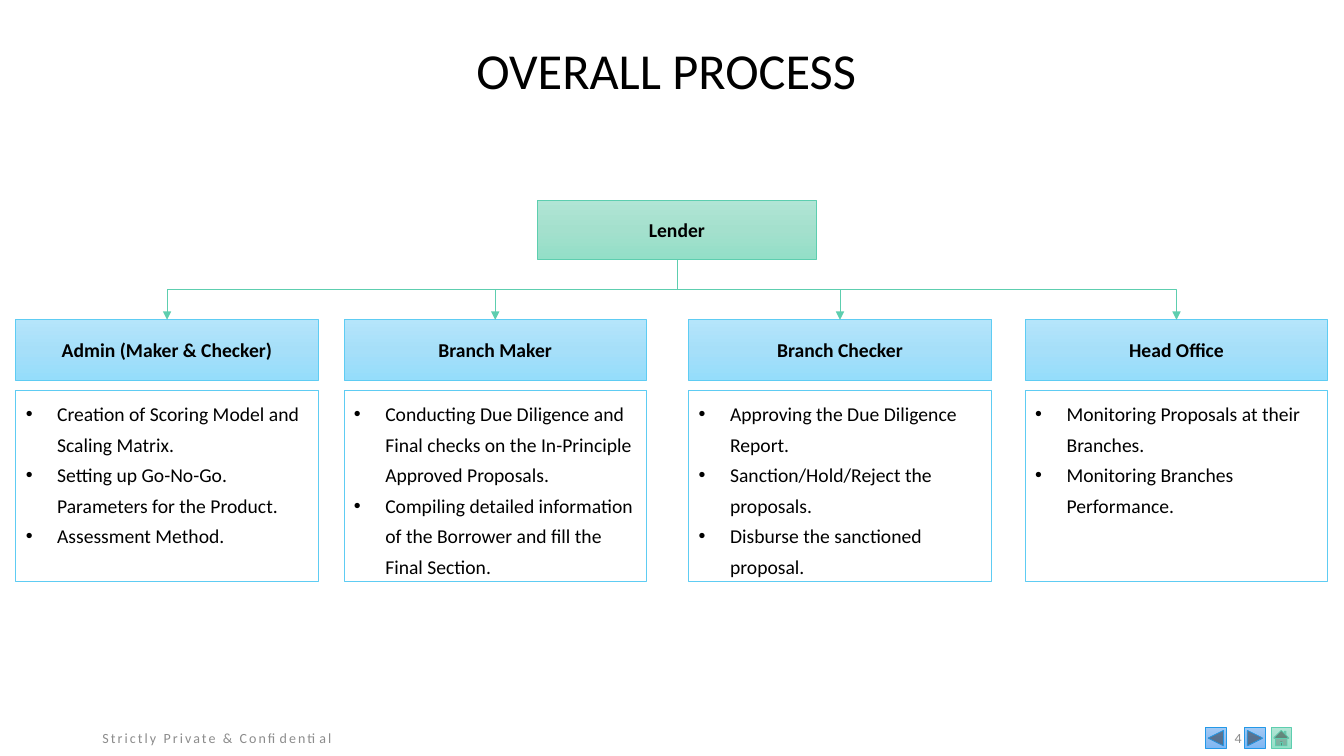
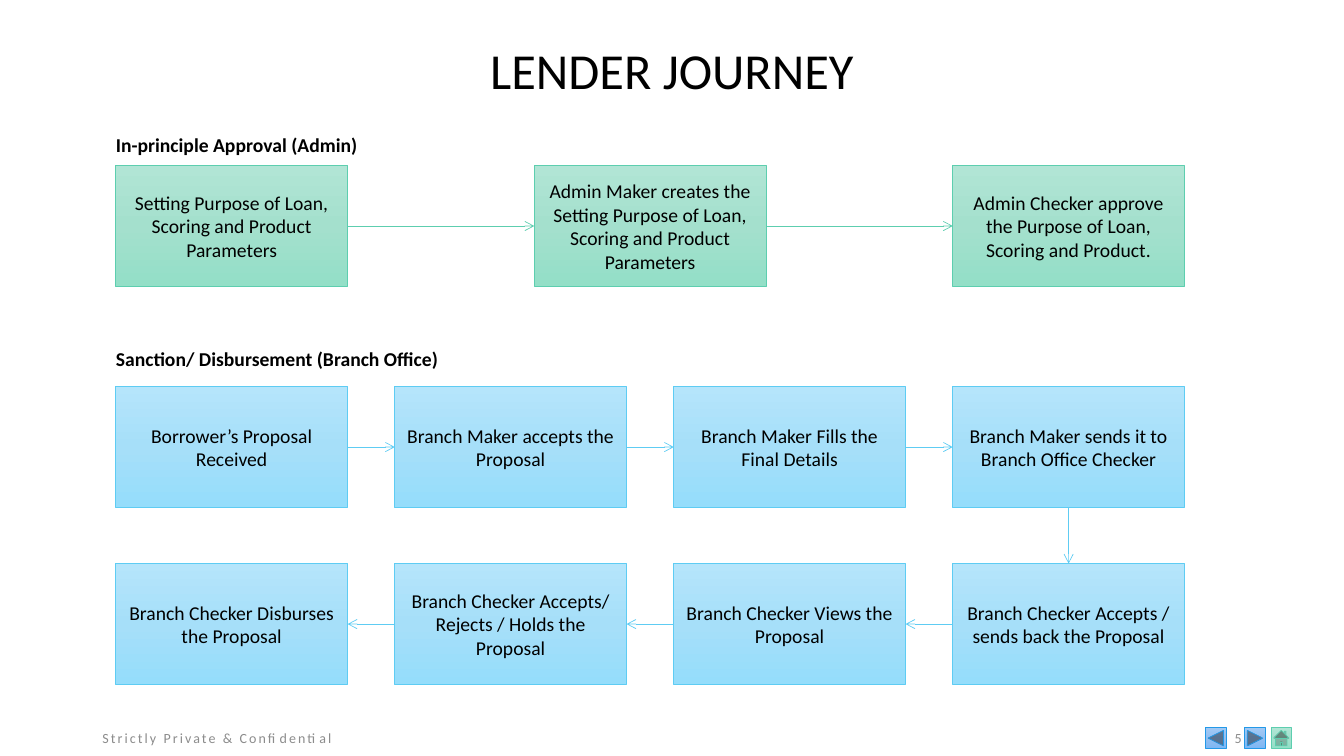
import copy
import itertools
from dataclasses import dataclass
from typing import Any, Sequence

import lxml.etree
import pptx
import pptx.dml.color
import pptx.enum.shapes
import pptx.enum.text
import pptx.oxml.ns
import pptx.util

Cm = pptx.util.Cm
Pt = pptx.util.Pt
RGBColor = pptx.dml.color.RGBColor
qn = pptx.oxml.ns.qn
Align = pptx.enum.text.PP_ALIGN
Anchor = pptx.enum.text.MSO_ANCHOR
Preset = pptx.enum.shapes.MSO_SHAPE
Connector = pptx.enum.shapes.MSO_CONNECTOR

FONT = "Calibri"
BLACK = RGBColor(0x00, 0x00, 0x00)
WHITE = RGBColor(0xFF, 0xFF, 0xFF)
GREY = RGBColor(0x8C, 0x8C, 0x8C)
LINE_WIDTH = Pt(0.5)
TOP, RIGHT, BOTTOM, LEFT = 0, 3, 2, 1


@dataclass(frozen=True)
class Palette:
    line: RGBColor
    stops: tuple[RGBColor, RGBColor, RGBColor]


GREEN = Palette(
    RGBColor(0x5D, 0xCE, 0xAF),
    (RGBColor(0xB1, 0xE5, 0xD5), RGBColor(0xA4, 0xE0, 0xCD), RGBColor(0x93, 0xDF, 0xC7)),
)
SKY = Palette(
    RGBColor(0x5E, 0xCC, 0xF3),
    (RGBColor(0xB5, 0xE5, 0xFB), RGBColor(0xA6, 0xDF, 0xF9), RGBColor(0x95, 0xDD, 0xFB)),
)
BLUE = Palette(
    RGBColor(0x23, 0x99, 0xE8),
    (RGBColor(0xA1, 0xC9, 0xF4), RGBColor(0x93, 0xBF, 0xF1), RGBColor(0x7F, 0xB7, 0xF4)),
)


@dataclass(frozen=True)
class Box:
    """Position and size in centimetres."""

    left: float
    top: float
    width: float
    height: float

    def lengths(self) -> tuple[int, ...]:
        return tuple(Cm(value) for value in (self.left, self.top, self.width, self.height))


@dataclass(frozen=True)
class TextStyle:
    size: float = 14
    bold: bool = False
    color: RGBColor = BLACK
    align: Any = Align.LEFT
    anchor: Any = Anchor.MIDDLE
    line_spacing: float = 1.0
    letter_spacing: float = 0
    side_inset: float = 0.25
    bullet_indent: float = 0


TITLE = TextStyle(size=36, align=Align.CENTER, line_spacing=0.9)
STEP = TextStyle(align=Align.CENTER)
ROLE = TextStyle(align=Align.CENTER, bold=True)
DUTIES = TextStyle(anchor=Anchor.TOP, line_spacing=1.3, bullet_indent=0.79)
SECTION = TextStyle(bold=True, anchor=Anchor.TOP, side_inset=0)
FOOTER = TextStyle(size=10, color=GREY, letter_spacing=1.5)
PAGE_NUMBER = TextStyle(size=10, color=GREY, letter_spacing=1.5, align=Align.RIGHT)


@dataclass(frozen=True)
class Role:
    left: float
    name: str
    duties: tuple[str, ...]


@dataclass(frozen=True)
class NavigationButton:
    left: float
    preset: Any
    palette: Palette


ROLES = (
    Role(0.4, "Admin (Maker & Checker)", (
        "Creation of Scoring Model and Scaling Matrix.",
        "Setting up Go-No-Go. Parameters for the Product.",
        "Assessment Method.",
    )),
    Role(8.67, "Branch Maker", (
        "Conducting Due Diligence and Final checks on the In-Principle Approved Proposals.",
        "Compiling detailed information of the Borrower and fill the Final Section.",
    )),
    Role(17.36, "Branch Checker", (
        "Approving the Due Diligence Report.",
        "Sanction/Hold/Reject the proposals.",
        "Disburse the sanctioned proposal.",
    )),
    Role(25.84, "Head Office", (
        "Monitoring Proposals at their Branches.",
        "Monitoring Branches Performance.",
    )),
)
APPROVAL_STEPS = (
    ("Setting Purpose of Loan,", "Scoring and Product Parameters"),
    ("Admin Maker creates the Setting Purpose of Loan,", "Scoring and Product Parameters"),
    ("Admin Checker approve the Purpose of Loan, Scoring and Product.",),
)
MAKER_STEPS = (
    ("Borrower’s Proposal Received",),
    ("Branch Maker accepts the Proposal",),
    ("Branch Maker Fills the Final Details",),
    ("Branch Maker sends it to Branch Office Checker",),
)
CHECKER_STEPS = (
    ("Branch Checker Accepts / sends back the Proposal",),
    ("Branch Checker Views the Proposal",),
    ("Branch Checker Accepts/ Rejects / Holds the Proposal",),
    ("Branch Checker Disburses the Proposal",),
)
BUTTONS = (
    NavigationButton(30.38, Preset.ACTION_BUTTON_BACK_OR_PREVIOUS, BLUE),
    NavigationButton(31.37, Preset.ACTION_BUTTON_FORWARD_OR_NEXT, BLUE),
    NavigationButton(32.03, Preset.ACTION_BUTTON_HOME, GREEN),
)
STEP_LEFT, STEP_WIDTH, STEP_HEIGHT, STEP_PITCH = 2.92, 5.84, 3.05, 7.03


def set_attributes(target: Any, values: dict[str, Any]) -> None:
    for name, value in values.items():
        setattr(target, name, value)


def add_bullet(paragraph: Any, indent: float) -> None:
    properties = paragraph._p.get_or_add_pPr()
    properties.set("marL", str(Cm(indent)))
    properties.set("indent", str(-Cm(indent)))
    lxml.etree.SubElement(properties, qn("a:buFont")).set("typeface", "Arial")
    lxml.etree.SubElement(properties, qn("a:buChar")).set("char", "•")


def write_text(shape: Any, lines: Sequence[str], style: TextStyle) -> None:
    frame = shape.text_frame
    set_attributes(frame, {
        "word_wrap": True,
        "vertical_anchor": style.anchor,
        "margin_left": Cm(style.side_inset),
        "margin_right": Cm(style.side_inset),
    })
    for index, line in enumerate(lines):
        paragraph = frame.add_paragraph() if index else frame.paragraphs[0]
        set_attributes(paragraph, {"alignment": style.align, "line_spacing": style.line_spacing})
        if style.bullet_indent:
            add_bullet(paragraph, style.bullet_indent)
        run = paragraph.add_run()
        run.text = line
        set_attributes(run.font, {"name": FONT, "size": Pt(style.size), "bold": style.bold})
        run.font.color.rgb = style.color
        if style.letter_spacing:
            run.font._element.set("spc", str(round(style.letter_spacing * 100)))


def add_label(slide: Any, box: Box, text: str, style: TextStyle) -> None:
    write_text(slide.shapes.add_textbox(*box.lengths()), [text], style)


def fill_gradient(shape: Any, palette: Palette) -> None:
    """Fill from top to bottom with the three evenly spaced stops."""
    shape.fill.gradient()
    shape.fill.gradient_angle = 270
    first = shape._element.spPr.find(".//" + qn("a:gs"))
    first.addnext(copy.deepcopy(first))
    for index, (stop, color) in enumerate(zip(shape.fill.gradient_stops, palette.stops)):
        stop.position = index / 2
        stop.color.rgb = color


def add_panel(slide: Any, box: Box, palette: Palette, lines: Sequence[str] = (),
              style: TextStyle = STEP, preset: Any = Preset.RECTANGLE, plain: bool = False) -> Any:
    """Add an outlined shape, white if plain and otherwise with a gradient."""
    shape = slide.shapes.add_shape(preset, *box.lengths())
    shape.shadow.inherit = False
    if plain:
        shape.fill.solid()
        shape.fill.fore_color.rgb = WHITE
    else:
        fill_gradient(shape, palette)
    shape.line.color.rgb = palette.line
    shape.line.width = LINE_WIDTH
    write_text(shape, lines, style)
    return shape


def connect(slide: Any, kind: Any, start: Any, start_site: int, end: Any, end_site: int,
            color: RGBColor, head: str) -> Any:
    connector = slide.shapes.add_connector(kind, 0, 0, 0, 0)
    connector.begin_connect(start, start_site)
    connector.end_connect(end, end_site)
    connector.line.color.rgb = color
    connector.line.width = LINE_WIDTH
    properties = connector._element.spPr
    lxml.etree.SubElement(properties.find(qn("a:ln")), qn("a:tailEnd")).set("type", head)
    lxml.etree.SubElement(properties, qn("a:effectLst"))
    return connector


def add_branch(slide: Any, parent: Any, child: Any) -> None:
    """Connect downwards with an elbow turned so that it leaves vertically."""
    connector = connect(slide, Connector.ELBOW, parent, BOTTOM, child, TOP, GREEN.line, "triangle")
    start_x = parent.left + parent.width // 2
    end_x = child.left + child.width // 2
    start_y = parent.top + parent.height
    drop, reach = child.top - start_y, abs(end_x - start_x)
    set_attributes(connector, {
        "left": (start_x + end_x - drop) // 2,
        "top": (start_y + child.top - reach) // 2,
        "width": drop,
        "height": reach,
    })
    goes_right = end_x > start_x
    turn = {"rot": str((270 if goes_right else 90) * 60000),
            "flipH": "1" if goes_right else "0", "flipV": "0"}
    for name, value in turn.items():
        connector._element.spPr.find(qn("a:xfrm")).set(name, value)


def add_step_row(slide: Any, top: float, steps: Sequence[Sequence[str]], palette: Palette,
                 pitch: float = STEP_PITCH, leftward: bool = False) -> list[Any]:
    """Add linked steps in reading order; a leftward row starts at the right."""
    columns = range(len(steps))
    shapes = [
        add_panel(slide, Box(STEP_LEFT + pitch * column, top, STEP_WIDTH, STEP_HEIGHT), palette, lines)
        for column, lines in zip(reversed(columns) if leftward else columns, steps)
    ]
    sites = (LEFT, RIGHT) if leftward else (RIGHT, LEFT)
    for start, end in itertools.pairwise(shapes):
        connect(slide, Connector.STRAIGHT, start, sites[0], end, sites[1], palette.line, "arrow")
    return shapes


def add_base_slide(presentation: Any, title: str, number: int) -> Any:
    slide = presentation.slides.add_slide(presentation.slide_layouts[6])
    add_label(slide, Box(2.33, 0, 29.21, 3.68), title, TITLE)
    add_label(slide, Box(2.33, 18.08, 8.89, 1.02), "Strictly Private & Confidential", FOOTER)
    add_label(slide, Box(23.92, 18.08, 7.62, 1.02), str(number), PAGE_NUMBER)
    for button in BUTTONS:
        add_panel(slide, Box(button.left, 18.34, 0.52, 0.52), button.palette, preset=button.preset)
    return slide


def build_overall_process(presentation: Any) -> None:
    slide = add_base_slide(presentation, "OVERALL PROCESS ", 4)
    lender = add_panel(slide, Box(13.54, 5.05, 7.04, 1.48), GREEN, ["Lender"], ROLE)
    for role in ROLES:
        heading = add_panel(slide, Box(role.left, 8.06, 7.62, 1.52), SKY, [role.name], ROLE)
        add_panel(slide, Box(role.left, 9.83, 7.62, 4.83), SKY, role.duties, DUTIES, plain=True)
        add_branch(slide, lender, heading)


def build_lender_journey(presentation: Any) -> None:
    slide = add_base_slide(presentation, "LENDER JOURNEY", 5)
    add_label(slide, Box(STEP_LEFT, 3.23, 9.02, 0.79), "In-principle Approval (Admin)", SECTION)
    add_step_row(slide, 4.17, APPROVAL_STEPS, GREEN, pitch=STEP_PITCH * 1.5)
    add_label(slide, Box(STEP_LEFT, 8.61, 13.11, 0.91), "Sanction/ Disbursement (Branch Office)", SECTION)
    maker = add_step_row(slide, 9.74, MAKER_STEPS, SKY)
    checker = add_step_row(slide, 14.2, CHECKER_STEPS, SKY, leftward=True)
    connect(slide, Connector.STRAIGHT, maker[-1], BOTTOM, checker[0], TOP, SKY.line, "arrow")


def main() -> None:
    presentation = pptx.Presentation()
    set_attributes(presentation, {"slide_width": Cm(33.87), "slide_height": Cm(19.05)})
    build_overall_process(presentation)
    build_lender_journey(presentation)
    presentation.save("out.pptx")


if __name__ == "__main__":
    main()
